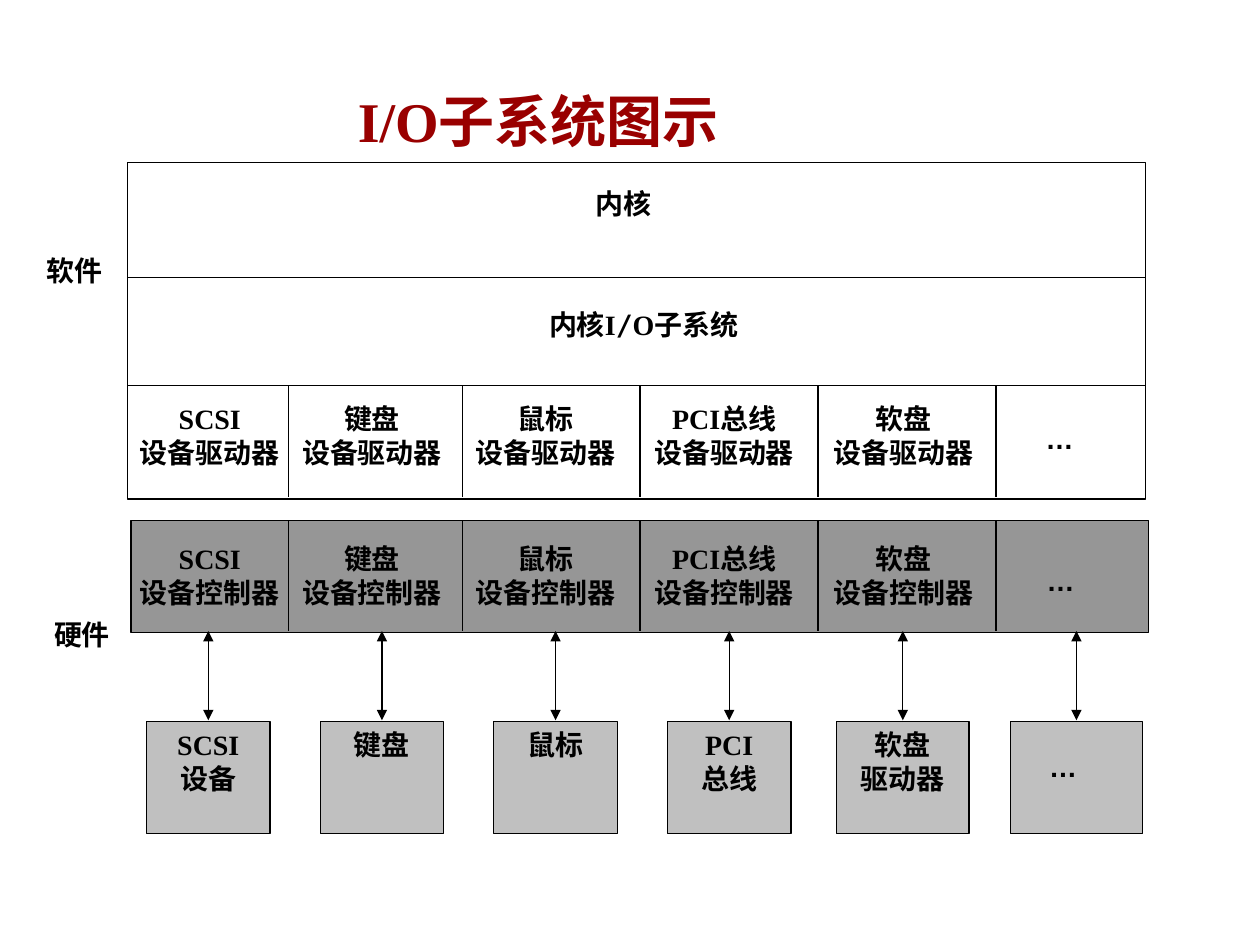
from lxml import etree
from pptx import Presentation
from pptx import util as u
from pptx.dml.color import RGBColor
from pptx.enum import shapes, text
from pptx.oxml import ns

COLORS = {"ink": "000000", "title": "990000", "paper": "FFFFFF",
          "controller": "969696", "device": "C0C0C0"}
FONT, SLASH_FONT, DOTS_FONT = "Times New Roman", "DejaVu Sans Mono", "Arial"
CENTER, JUSTIFY = text.PP_ALIGN.CENTER, text.PP_ALIGN.JUSTIFY

# Content: each paragraph is a string or a list of (text, font) runs
TITLE = " I/O子系统图示"
LABELS = [  # left, top, width, paragraph
    (11.76, 3.63, 2.18, "内核"),
    (10.82, 6.07, 4.98, [("内核I", FONT), ("/", SLASH_FONT), ("O子系统", FONT)]),
    (0.69, 4.98, 2.18, "软件"),
    (0.84, 12.32, 2.18, "硬件"),
]
UNITS = ["SCSI", "键盘", "鼠标", "PCI总线", "软盘"]
BANDS = [  # second line, text top, divider top, divider bottom
    ("设备驱动器", 7.97, 7.77, 10.01),
    ("设备控制器", 10.8, 10.49, 12.72),
]
DEVICES = [["SCSI", "设备"], ["键盘"], ["鼠标"], ["PCI", "总线"],
           ["软盘", "驱动器"], []]
DOTS = [(20.83, 8.38), (20.85, 11.23), (20.9, 14.99)]

# Geometry in centimetres
LEFT, WIDTH = 2.57, 20.52
SOFTWARE = (LEFT, 3.28, WIDTH, 6.78)
CONTROLLERS = (2.64, 10.49, WIDTH, 2.26)
LAYER_LINES = [5.59, 7.77]
DIVIDERS = [5.82, 9.32, 12.9, 16.49, 20.08]
UNIT_CENTERS = [4.23, 7.5, 11.0, 14.6, 18.21]
UNIT_WIDTH = 3.6
DEVICE_START, DEVICE_STEP = 4.2, 3.5
DEVICE_TOP, DEVICE_HEIGHT = 14.55, 2.26
ARROW_TOP, ARROW_BOTTOM = 12.72, 14.52

prs = Presentation()
prs.slide_width, prs.slide_height = u.Cm(25.4), u.Cm(19.05)
s = prs.slides.add_slide(prs.slide_layouts[6])


def rgb(name):
    """Return a named colour."""
    return RGBColor.from_string(COLORS[name])


def cm(*values):
    """Convert several centimetre values to lengths."""
    return [u.Cm(v) for v in values]


def write(sp, paragraphs, align, size=16, color="ink", font=FONT, **spacing):
    """Fill a shape with bold paragraphs."""
    tf = sp.text_frame
    tf.word_wrap = True
    tf.vertical_anchor = text.MSO_ANCHOR.TOP
    for i, runs in enumerate(paragraphs):
        p = tf.add_paragraph() if i else tf.paragraphs[0]
        for key, value in {"alignment": align, **spacing}.items():
            setattr(p, key, value)
        for words, face in [(runs, font)] if isinstance(runs, str) else runs:
            r = p.add_run()
            r.text = words
            style = {"name": face, "size": u.Pt(size), "bold": True}
            for key, value in style.items():
                setattr(r.font, key, value)
            r.font.color.rgb = rgb(color)


def label(left, top, width, height, paragraphs, align=JUSTIFY, **style):
    """Add a text box."""
    sp = s.shapes.add_textbox(*cm(left, top, width, height))
    write(sp, paragraphs, align, **style)
    return sp


def box(left, top, width, height, fill):
    """Add a filled rectangle with a thin outline."""
    sp = s.shapes.add_shape(shapes.MSO_SHAPE.RECTANGLE,
                            *cm(left, top, width, height))
    sp.shadow.inherit = False
    sp.fill.solid()
    sp.fill.fore_color.rgb = rgb(fill)
    sp.line.color.rgb = rgb("ink")
    sp.line.width = u.Pt(0.74)
    return sp


def line(x1, y1, x2, y2, arrows=False):
    """Add a thin line, with a head at both ends if asked."""
    c = s.shapes.add_connector(shapes.MSO_CONNECTOR.STRAIGHT,
                               *cm(x1, y1, x2, y2))
    c.line.color.rgb = rgb("ink")
    c.line.width = u.Pt(0.74)
    if arrows:
        for end in ("a:headEnd", "a:tailEnd"):
            etree.SubElement(c.line._get_or_add_ln(), ns.qn(end), type="triangle")
    etree.SubElement(c._element.spPr, ns.qn("a:effectLst"))


box(*SOFTWARE, "paper")
box(*CONTROLLERS, "controller")
for y in LAYER_LINES:
    line(LEFT, y, LEFT + WIDTH, y)

for role, text_top, top, bottom in BANDS:
    for x in DIVIDERS:
        line(x, top, x, bottom)
    for unit, center in zip(UNITS, UNIT_CENTERS):
        label(center - UNIT_WIDTH / 2, text_top, UNIT_WIDTH, 1.8,
              [unit, role], CENTER)

for i, names in enumerate(DEVICES):
    center = DEVICE_START + i * DEVICE_STEP
    width = 2.49 if i < 4 else 2.67
    device = box(center - width / 2, DEVICE_TOP, width, DEVICE_HEIGHT, "device")
    write(device, names, CENTER)
    line(center, ARROW_TOP, center, ARROW_BOTTOM, arrows=True)

for left, top in DOTS:
    label(left, top, 2.18, 1.35, ["…"], font=DOTS_FONT)
for left, top, width, words in LABELS:
    label(left, top, width, 1.35, [words])

title = label(5.18, 1.35, 11.07, 1.88, [TITLE], CENTER, size=32, color="title",
              line_spacing=1.2, space_before=u.Pt(12))
title.text_frame.auto_size = text.MSO_AUTO_SIZE.SHAPE_TO_FIT_TEXT

prs.save("out.pptx")
